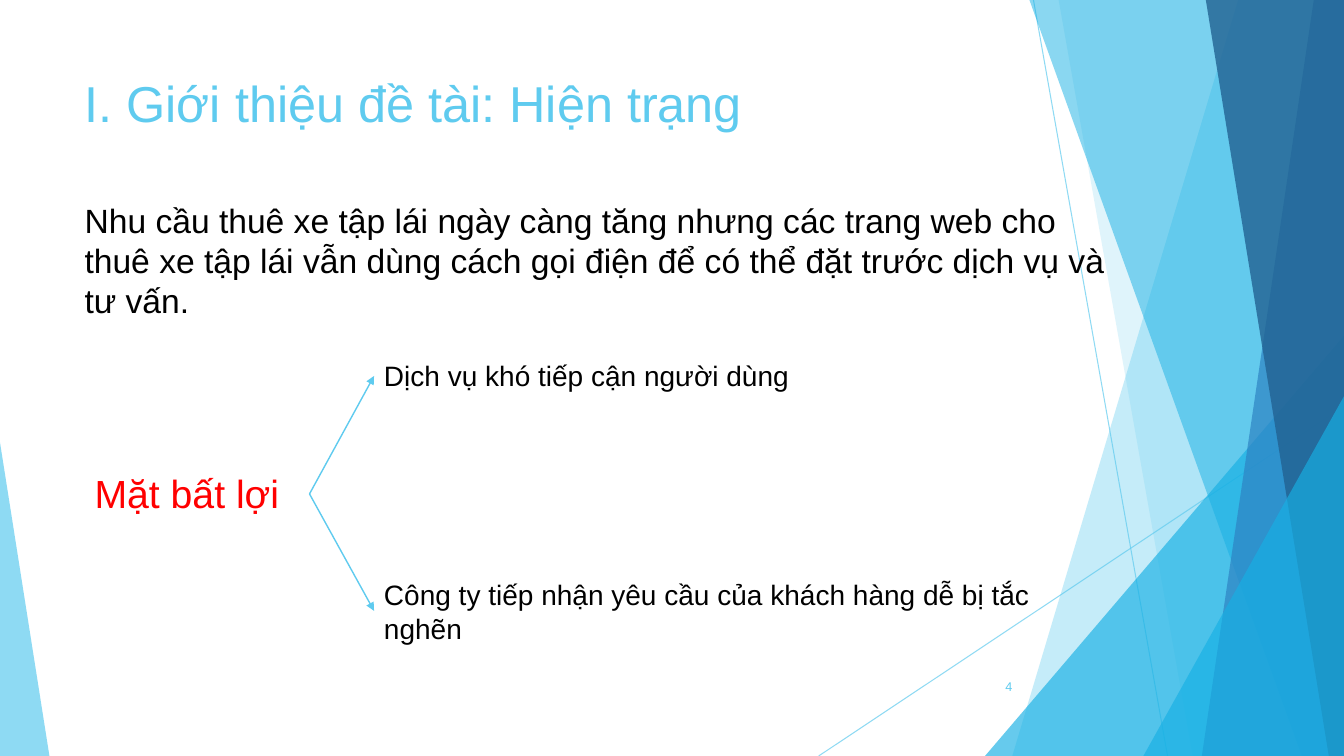
from lxml import etree
from pptx import Presentation
from pptx.dml.color import RGBColor
from pptx.enum.shapes import MSO_CONNECTOR, MSO_SHAPE
from pptx.enum.text import MSO_ANCHOR, MSO_AUTO_SIZE, PP_ALIGN
from pptx.oxml.ns import qn
from pptx.util import Inches, Pt

STRAIGHT = MSO_CONNECTOR.STRAIGHT
TRIANGLE = MSO_SHAPE.ISOSCELES_TRIANGLE
TOP, MIDDLE = MSO_ANCHOR.TOP, MSO_ANCHOR.MIDDLE
LEFT, RIGHT = PP_ALIGN.LEFT, PP_ALIGN.RIGHT

WIDTH, HEIGHT = 13.33, 7.5
TITLE_ONLY = 5
FONT = "Arial"
COLORS = {"sky": "5FCBEF", "cyan": "17B0E4", "blue": "2E83C3",
          "navy": "226292", "black": "000000", "red": "FF0000"}

# Left, top, width, height; size, colour
TITLE = ("I. Giới thiệu đề tài: Hiện trạng", (0.74, 0.67, 9.4, 0.77), 36, "sky")
TEXTS = [
    ("Nhu cầu thuê xe tập lái ngày càng tăng nhưng các trang web cho thuê xe tập lái "
     "vẫn dùng cách gọi điện để có thể đặt trước dịch vụ và tư vấn.",
     (0.74, 1.93, 10.39, 1.31), 24, "black"),
    ("Mặt bất lợi", (0.84, 4.61, 2.23, 0.57), 28, "red"),
    ("Dịch vụ khó tiếp cận người dùng", (3.71, 3.51, 6.9, 0.44), 20, "black"),
    ("Công ty tiếp nhận yêu cầu của khách hàng dễ bị tắc nghẽn",
     (3.71, 5.68, 6.69, 0.77), 20, "black"),
]
PAGE_NUMBER = ("4", (9.39, 6.61, 0.75, 0.4), 9, "sky")

THIN_LINES = [((10.25, 0), (11.58, HEIGHT)), ((WIDTH, 4.03), (8.12, HEIGHT))]
BRANCH_START = (3.07, 4.9)
BRANCH_ENDS = [(3.71, 3.73), (3.71, 6.06)]

# Wedge: left edge at the top and at the bottom; it fills to the right side.
# Corner: left, width, height, apex (0 left, 1 right); it stands on the bottom.
DECORATION = [
    ("wedge", (12.28, 10.04), "sky", 36),
    ("wedge", (10.5, 11.83), "sky", 20),
    ("corner", (9.77, 3.56, 4.17, 1), "cyan", 66),
    ("wedge", (10.21, 12.91), "cyan", 50),
    ("wedge", (13.03, 11.92), "blue", 70),
    ("wedge", (11.96, 13.18), "navy", 80),
    ("corner", (11.34, 1.99, 3.57, 1), "cyan", 66),
    ("corner", (0, 0.49, 3.11, 0), "sky", 70),
]


def color(name):
    return RGBColor.from_string(COLORS[name])


def set_opacity(holder, percent):
    for tone in holder.iter(qn("a:srgbClr")):
        etree.SubElement(tone, qn("a:alpha"), val=str(percent * 1000))


def add_wedge(page, top_x, bottom_x):
    points = [(WIDTH, 0), (WIDTH, HEIGHT), (bottom_x, HEIGHT)]
    builder = page.shapes.build_freeform(Inches(top_x), 0)
    builder.add_line_segments([(Inches(x), Inches(y)) for x, y in points])
    return builder.convert_to_shape()


def add_corner(page, left, width, height, apex):
    frame = (left, HEIGHT - height, width, height)
    shape = page.shapes.add_shape(TRIANGLE, *map(Inches, frame))
    shape.adjustments[0] = apex
    return shape


def add_decoration(page):
    makers = {"wedge": add_wedge, "corner": add_corner}
    for kind, geometry, tone, opacity in DECORATION:
        shape = makers[kind](page, *geometry)
        shape.shadow.inherit = False
        shape.fill.solid()
        shape.fill.fore_color.rgb = color(tone)
        shape.line.fill.background()
        set_opacity(shape.fill._xPr, opacity)


def add_line(page, start, end, width, opacity=100, arrow=False):
    line = page.shapes.add_connector(STRAIGHT, *map(Inches, start + end))
    line.line.width = Pt(width)
    line.line.color.rgb = color("sky")
    outline = line.line._get_or_add_ln()
    if opacity < 100:
        set_opacity(outline, opacity)
    if arrow:
        etree.SubElement(outline, qn("a:tailEnd"), type="triangle")
    etree.SubElement(line._element.spPr, qn("a:effectLst"))


def write(box, text, frame, size, tone, align=LEFT, anchor=TOP):
    box.left, box.top, box.width, box.height = map(Inches, frame)
    body = box.text_frame
    body.text = text
    body.word_wrap = True
    body.auto_size = MSO_AUTO_SIZE.NONE
    body.vertical_anchor = anchor
    para = body.paragraphs[0]
    para.alignment = align
    font = para.runs[0].font
    font.name, font.size = FONT, Pt(size)
    font.color.rgb = color(tone)


def add_text(page, text, frame, *style):
    write(page.shapes.add_textbox(*map(Inches, frame)), text, frame, *style)


def main():
    deck = Presentation()
    deck.slide_width, deck.slide_height = Inches(WIDTH), Inches(HEIGHT)
    page = deck.slides.add_slide(deck.slide_layouts[TITLE_ONLY])
    for start, end in THIN_LINES:
        add_line(page, start, end, 0.75, opacity=70)
    add_decoration(page)
    write(page.shapes.title, *TITLE)
    # Bring the title in front of the decoration
    page.shapes._spTree.append(page.shapes.title._element)
    add_text(page, *PAGE_NUMBER, RIGHT, MIDDLE)
    for item in TEXTS:
        add_text(page, *item)
    for end in BRANCH_ENDS:
        add_line(page, BRANCH_START, end, 1, arrow=True)
    deck.save("out.pptx")


if __name__ == "__main__":
    main()
